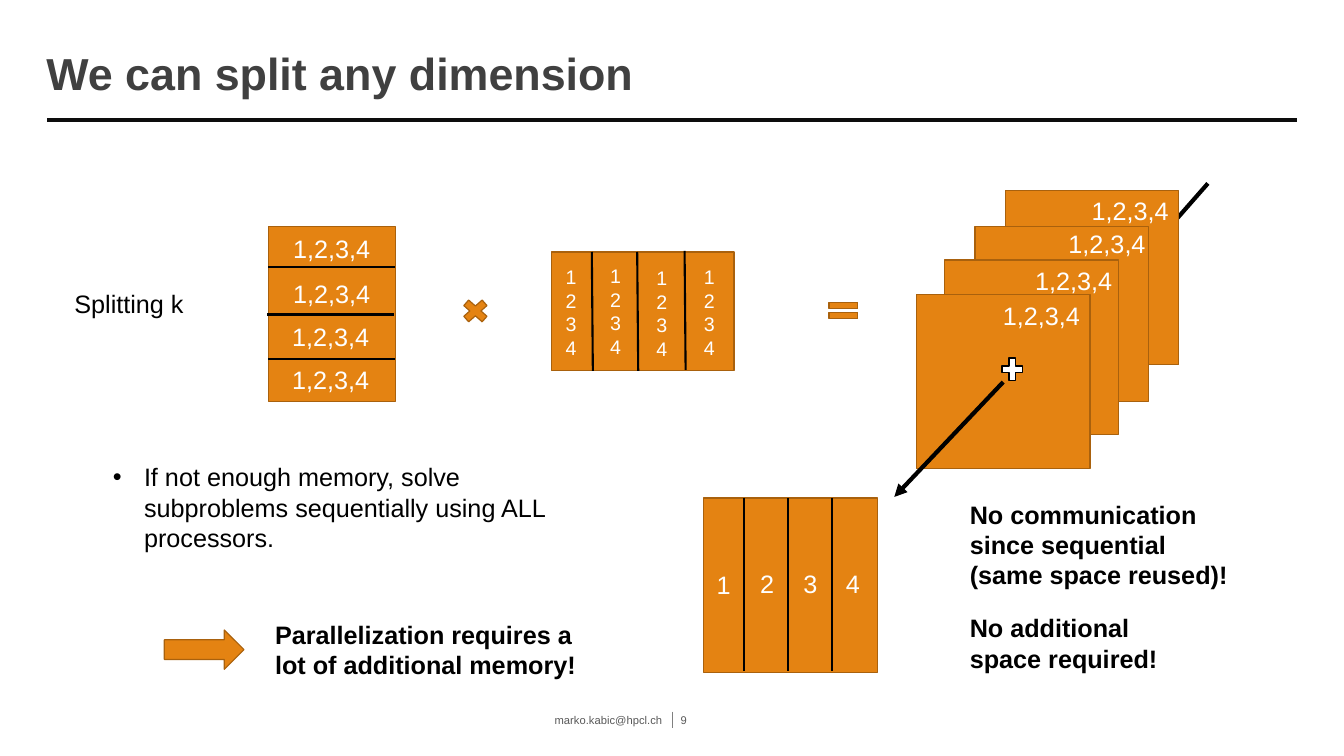
from lxml import etree
from pptx import Presentation
from pptx.dml.color import RGBColor
from pptx.enum.shapes import MSO_CONNECTOR, MSO_SHAPE as SHAPE
from pptx.enum.text import MSO_ANCHOR as ANCHOR, PP_ALIGN as ALIGN
from pptx.oxml.ns import qn
from pptx.util import Inches, Pt

COLORS = {"orange": "E48312", "edge": "A9610D", "black": "000000", "white": "FFFFFF",
          "title": "404040", "rule": "0D0D0D", "footer": "595959", "divider": "808080"}
FONT = "Arial"
INSETS = (0.1, 0.05, 0.1, 0.05)

TITLE = "We can split any dimension"
RANKS = ["1", "2", "3", "4"]
ALL_RANKS = ",".join(RANKS)

# Matrices: left, top, width, height
MATRIX_A = (2.66, 2.25, 1.26, 1.73)
MATRIX_B = (5.47, 2.5, 1.81, 1.18)
RESULT = (6.98, 4.94, 1.72, 1.73)
PARTIAL_SIZE = (1.72, 1.73)
PARTIALS = [(9.97, 1.89), (9.67, 2.25), (9.37, 2.58), (9.09, 2.92)]

# Dividing lines
A_CUTS = [(2.66, 2.65), (2.65, 3.12), (2.66, 3.56)]
B_CUTS = [(5.87, 2.5), (6.32, 2.5), (6.79, 2.49)]
RESULT_CUTS = [7.38, 7.82, 8.25]

# Label corners
RANK_LABELS = [(2.61, 2.27), (2.61, 2.71), (2.6, 3.14), (2.6, 3.57),
               (9.65, 2.93), (9.97, 2.58), (10.3, 2.22), (10.53, 1.89)]
B_LABELS = [(5.51, 2.58), (5.95, 2.57), (6.41, 2.59), (6.88, 2.58)]
RESULT_LABELS = [(7.01, 5.6), (7.44, 5.59), (7.87, 5.59), (8.29, 5.59)]

SYMBOLS = [
    (SHAPE.MATH_MULTIPLY, (4.54, 2.93, 0.35, 0.31), "orange", "edge"),
    (SHAPE.MATH_EQUAL, (8.17, 2.94, 0.39, 0.28), "orange", "edge"),
    (SHAPE.MATH_PLUS, (9.9, 3.51, 0.28, 0.31), "white", "black"),
    (SHAPE.RIGHT_ARROW, (1.63, 6.25, 0.79, 0.39), "orange", "edge"),
]
BULLET = "If not enough memory, solve subproblems sequentially using ALL processors."
CLAIMS = [
    ((2.63, 6.09, 3.43, 0.71), "Parallelization requires a lot of additional memory!"),
    ((9.52, 4.9, 2.92, 1.01), "No communication since sequential (same space reused)!"),
    ((9.52, 6.03, 2.5, 0.71), "No additional space required!"),
]
FOOTER = [
    ((2.15, 7.06, 4.5, 0.16), "marko.kabic@hpcl.ch", ALIGN.RIGHT, (0, 0, 0.08, 0)),
    ((6.67, 7.06, 0.42, 0.16), "9", ALIGN.LEFT, (0.08, 0, 0, 0)),
]

prs = Presentation()
prs.slide_width, prs.slide_height = Inches(13.33), Inches(7.5)
slide = prs.slides.add_slide(prs.slide_layouts[6])
shapes = slide.shapes


def rgb(name):
    return RGBColor.from_string(COLORS[name])


def add_block(kind, box, fill="orange", edge="edge"):
    sp = shapes.add_shape(kind, *map(Inches, box))
    sp.shadow.inherit = False
    sp.fill.solid()
    sp.fill.fore_color.rgb = rgb(fill)
    sp.line.color.rgb = rgb(edge)
    sp.line.width = Pt(0.85)


def add_line(start, end, width=1.5, color="black", arrow=False):
    line = shapes.add_connector(MSO_CONNECTOR.STRAIGHT, *map(Inches, (*start, *end)))
    line.line.color.rgb = rgb(color)
    line.line.width = Pt(width)
    if arrow:
        etree.SubElement(line.line._get_or_add_ln(), qn("a:tailEnd"), type="triangle")
    etree.SubElement(line._element.spPr, qn("a:effectLst"))


def add_text(box, lines, size=18, color="black", bold=False, align=ALIGN.LEFT,
             anchor=ANCHOR.TOP, insets=INSETS, wrap=True):
    """Add a text box with one paragraph per line and return its text frame."""
    tf = shapes.add_textbox(*map(Inches, box)).text_frame
    tf.word_wrap = wrap
    tf.vertical_anchor = anchor
    tf.margin_left, tf.margin_top, tf.margin_right, tf.margin_bottom = map(Inches, insets)
    for i, line in enumerate(lines):
        p = tf.add_paragraph() if i else tf.paragraphs[0]
        p.alignment = align
        r = p.add_run()
        r.text = line
        r.font.name, r.font.size, r.font.bold = FONT, Pt(size), bold
        r.font.color.rgb = rgb(color)
    return tf


def add_label(corner, size, lines, points=18):
    add_text((*corner, *size), lines, points, "white", align=ALIGN.CENTER)


# Title and footer
add_text((0.46, 0.13, 12.39, 0.94), [TITLE], 32, "title", True,
         anchor=ANCHOR.BOTTOM, insets=(0, 0, 0, 0.08), wrap=False)
add_line((0.47, 1.19), (12.86, 1.19), 3, "rule")
add_line((6.67, 7.06), (6.67, 7.22), 0.75, "divider")
for box, text, align, insets in FOOTER:
    add_text(box, [text], 8, "footer", align=align, anchor=ANCHOR.MIDDLE, insets=insets)

# Matrices, with the summing arrow passing behind and in front of the partial results
add_line((11.4, 2.48), (11.98, 1.82), 3)
for box in [MATRIX_A, MATRIX_B, RESULT] + [(*corner, *PARTIAL_SIZE) for corner in PARTIALS]:
    add_block(SHAPE.RECTANGLE, box)
for x, y in A_CUTS:
    add_line((x, y), (x + MATRIX_A[2], y))
for x, y in B_CUTS:
    add_line((x, y), (x + 0.01, y + MATRIX_B[3]))
for x in RESULT_CUTS:
    add_line((x, RESULT[1]), (x, RESULT[1] + 1.72))
add_line((9.95, 3.79), (8.87, 4.93), 3, arrow=True)
for symbol in SYMBOLS:
    add_block(*symbol)

# Matrix labels
for corner in RANK_LABELS:
    add_label(corner, (1.36, 0.4), [ALL_RANKS])
for corner in B_LABELS:
    add_label(corner, (0.31, 1.04), RANKS, 14)
for corner, rank in zip(RESULT_LABELS, RANKS):
    add_label(corner, (0.31, 0.4), [rank])

# Explanations
add_text((0.43, 2.81, 1.7, 0.4), ["Splitting k"], align=ALIGN.CENTER)
tf = add_text((1.02, 4.53, 5.09, 1.01), [BULLET])
pPr = tf.paragraphs[0]._p.get_or_add_pPr()
pPr.set("marL", str(Inches(0.31)))
pPr.set("indent", str(Inches(-0.31)))
etree.SubElement(pPr, qn("a:buFont"), typeface=FONT)
etree.SubElement(pPr, qn("a:buChar"), char="•")
for box, text in CLAIMS:
    add_text(box, [text], bold=True)

prs.save("out.pptx")
